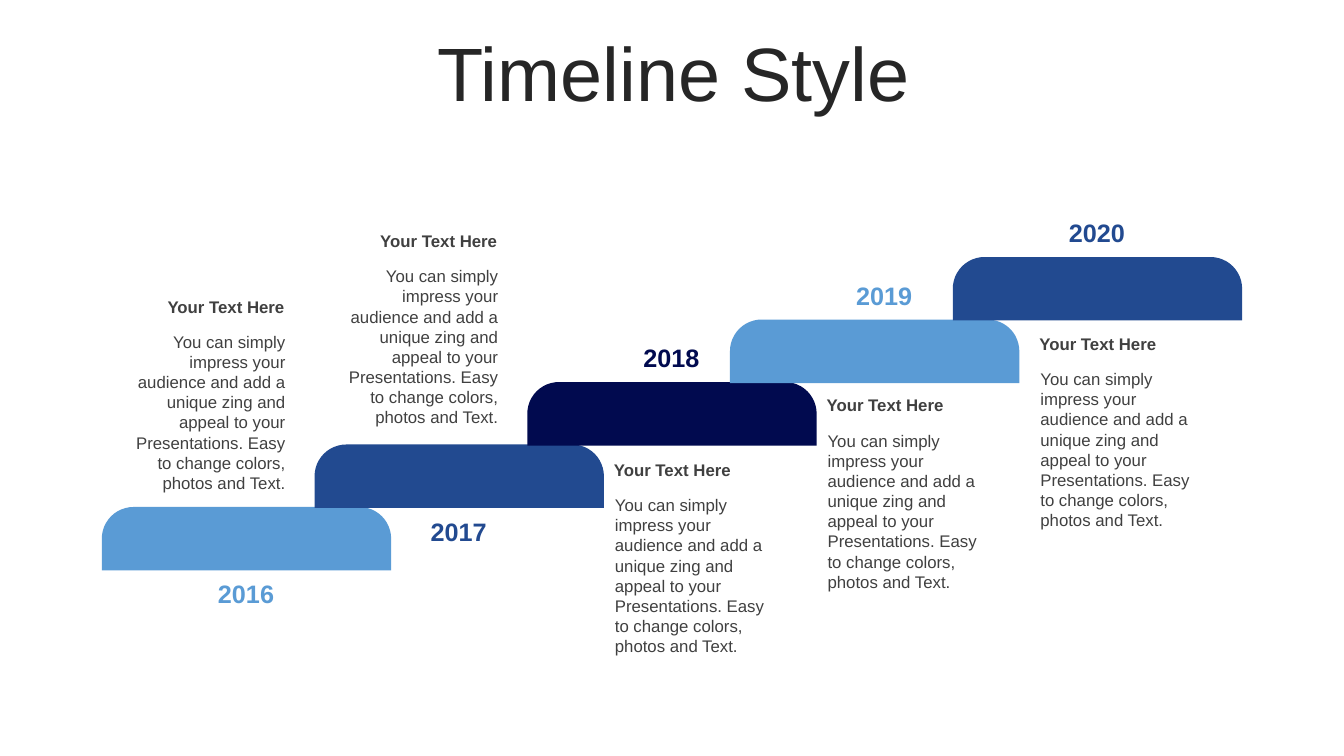
from pptx import Presentation
from pptx.dml.color import RGBColor
from pptx.enum.shapes import MSO_SHAPE
from pptx.enum.text import MSO_ANCHOR, MSO_AUTO_SIZE, PP_ALIGN
from pptx.util import Inches, Pt

SKY, BLUE, NAVY = "5A9BD5", "224A90", "010A4F"
HEADING = "Your Text Here"
DETAIL = ("You can simply impress your audience and add a unique zing and "
          "appeal to your Presentations. Easy to change colors, photos and Text.")

# Year, colour, bar's sideways shift, heading row, text stands above the bar
MILESTONES = [
    ("2016", SKY, 0, 28.9, True),
    ("2017", BLUE, 0, 22.4, True),
    ("2018", NAVY, 0, 45.1, False),
    ("2019", SKY, -1, 38.7, False),
    ("2020", BLUE, 0, 32.6, False),
]
STEP_COLS, STEP_ROWS = 21.1, 6.2
FIRST_COL, FIRST_ROW = 10.1, 50.3


def color(hex_value):
    return RGBColor.from_string(hex_value)


class TimelineSlide:
    """Draws on a grid whose columns and rows are a tenth of an inch."""

    cell = Inches(0.1)
    font_name = "Arial"
    title_color, text_color = "262626", "404040"

    def __init__(self, presentation):
        self.slide = presentation.slides.add_slide(presentation.slide_layouts[5])

    def grid(self, *cells):
        return [round(cell * self.cell) for cell in cells]

    def fill_text(self, frame, text, size, hex_value, align, bold=False):
        paragraph = frame.paragraphs[0]
        paragraph.text = text
        paragraph.alignment = align
        font_format = {"name": self.font_name, "size": Pt(size), "bold": bold}
        for attribute, value in font_format.items():
            setattr(paragraph.font, attribute, value)
        paragraph.font.color.rgb = color(hex_value)
        return paragraph

    def title(self, text, col, row, cols, rows):
        heading = self.slide.shapes.title
        places = zip(("left", "top", "width", "height"),
                     self.grid(col, row, cols, rows))
        for attribute, value in places:
            setattr(heading, attribute, value)
        frame = heading.text_frame
        frame.auto_size = MSO_AUTO_SIZE.NONE
        frame.vertical_anchor = MSO_ANCHOR.MIDDLE
        paragraph = self.fill_text(frame, text, 54, self.title_color,
                                   PP_ALIGN.CENTER)
        paragraph.line_spacing = 0.9

    def text(self, text, col, row, cols, rows, align, size=12,
             hex_value=text_color, bold=False):
        box = self.slide.shapes.add_textbox(*self.grid(col, row, cols, rows))
        frame = box.text_frame
        frame.word_wrap = True
        frame.auto_size = MSO_AUTO_SIZE.SHAPE_TO_FIT_TEXT
        self.fill_text(frame, text, size, hex_value, align, bold)

    def bar(self, hex_value, col, row, cols, rows):
        bar = self.slide.shapes.add_shape(
            MSO_SHAPE.ROUND_2_SAME_RECTANGLE, *self.grid(col, row, cols, rows))
        bar.adjustments[0], bar.adjustments[1] = 0.5, 0
        bar.shadow.inherit = False
        bar.fill.solid()
        bar.fill.fore_color.rgb = color(hex_value)
        bar.line.fill.background()


def main():
    presentation = Presentation()
    presentation.slide_width = Inches(13.33)
    presentation.slide_height = Inches(7.5)
    timeline = TimelineSlide(presentation)

    timeline.title("Timeline Style", 3.5, 3.7, 126.6, 7.9)

    for step, (year, hue, shift, heading_row, above) in enumerate(MILESTONES):
        col = FIRST_COL + step * STEP_COLS
        row = FIRST_ROW - step * STEP_ROWS

        # Stair bar
        timeline.bar(hue, col + shift, row, 28.7, 6.3)

        # Year on the side of the bar away from the text
        year_row = row + (6.6 if above else -4.4)
        timeline.text(year, col + 10.3, year_row, 8, 4, PP_ALIGN.CENTER,
                      size=18, hex_value=hue, bold=True)

        # Heading and detail
        text_col = col + (1 if above else 7.7)
        align = PP_ALIGN.RIGHT if above else PP_ALIGN.LEFT
        timeline.text(HEADING, text_col - 0.1, heading_row, 18.2, 3, align,
                      bold=True)
        timeline.text(DETAIL, text_col, heading_row + 3.5, 18.2, 17.2, align)

    presentation.save("out.pptx")


if __name__ == "__main__":
    main()
